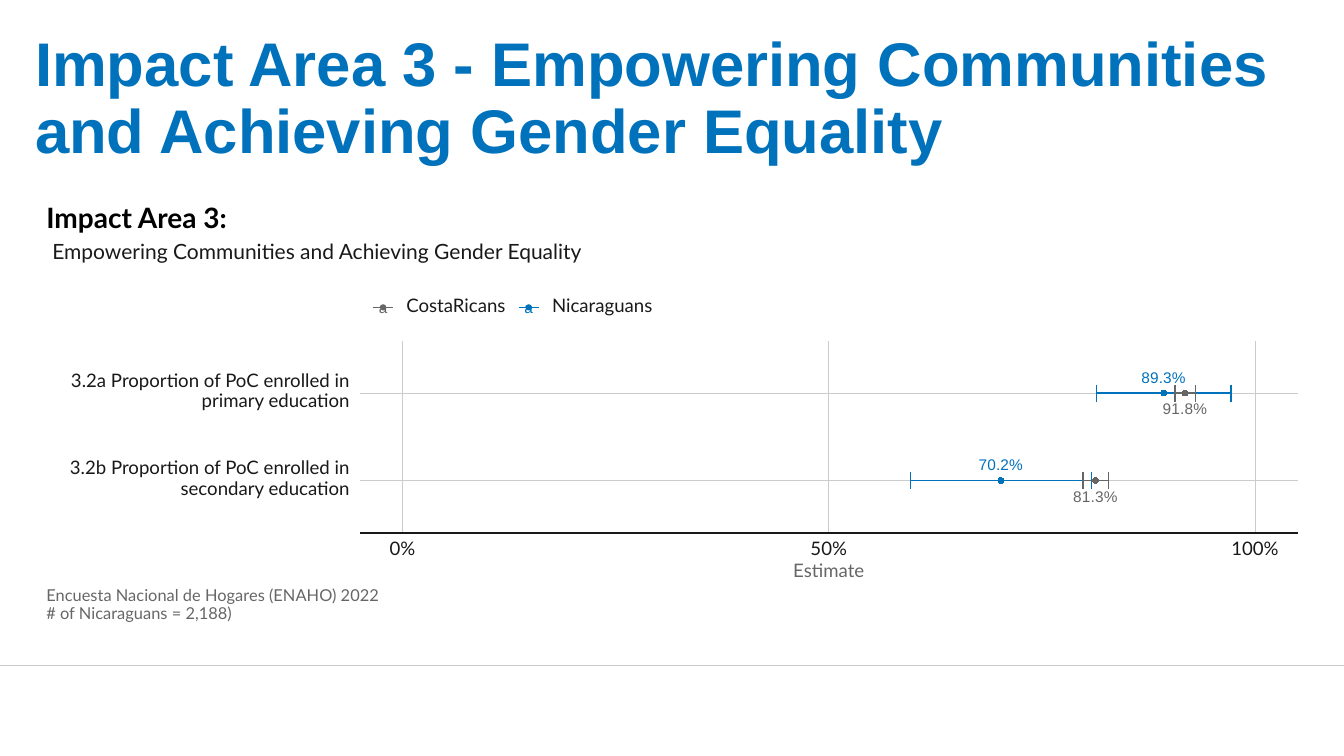
from lxml import etree
from pptx import Presentation
from pptx.chart.data import XyChartData
from pptx.dml.color import RGBColor
from pptx.enum.chart import XL_CHART_TYPE, XL_LABEL_POSITION, XL_MARKER_STYLE
from pptx.enum.shapes import MSO_CONNECTOR, MSO_SHAPE
from pptx.enum.text import MSO_ANCHOR, PP_ALIGN
from pptx.oxml import parse_xml
from pptx.oxml.ns import nsdecls, qn
from pptx.util import Inches, Pt

LEFT, CENTER, RIGHT = PP_ALIGN.LEFT, PP_ALIGN.CENTER, PP_ALIGN.RIGHT
MIDDLE, BOTTOM = MSO_ANCHOR.MIDDLE, MSO_ANCHOR.BOTTOM
ABOVE, BELOW = XL_LABEL_POSITION.ABOVE, XL_LABEL_POSITION.BELOW

BLUE, GRAY, INK, GRID = "0072BC", "666666", "191919", "CCCCCC"
X_MIN, X_MAX = -5, 105
Y_MIN, Y_MAX = 0.4, 2.6
TICKS = (0, 50, 100)
ROWS = {
    2: "3.2a Proportion of PoC enrolled in\nprimary education",
    1: "3.2b Proportion of PoC enrolled in\nsecondary education",
}
# name, colour, label side, (estimate, margin of error) per row
GROUPS = [
    ("Nicaraguans", BLUE, ABOVE, [(89.3, 7.9), (70.2, 10.6)]),
    ("CostaRicans", GRAY, BELOW, [(91.8, 1.2), (81.3, 1.5)]),
]


def color(hex_value):
    return RGBColor.from_string(hex_value)


def format_run(run, size, font, ink, bold=False):
    run.font.size, run.font.name, run.font.bold = Pt(size), font, bold
    run.font.color.rgb = color(ink)


def add_text(slide, text, box, size=13.3, font="Lato", ink=INK, bold=False,
             align=LEFT, anchor=MIDDLE, spacing=None, inset=(0, 0)):
    shape = slide.shapes.add_textbox(*map(Inches, box))
    frame = shape.text_frame
    frame.word_wrap = True
    frame.vertical_anchor = anchor
    frame.margin_left = frame.margin_right = Inches(inset[0])
    frame.margin_top = frame.margin_bottom = Inches(inset[1])
    for index, line in enumerate(text.split("\n")):
        paragraph = frame.paragraphs[0] if index == 0 else frame.add_paragraph()
        paragraph.alignment = align
        paragraph.line_spacing = spacing or Pt(size)
        run = paragraph.add_run()
        run.text = line
        format_run(run, size, font, ink, bold)


def add_line(slide, x1, y1, x2, y2, ink, width):
    connector = slide.shapes.add_connector(
        MSO_CONNECTOR.STRAIGHT, *map(Inches, (x1, y1, x2, y2)))
    connector.line.color.rgb = color(ink)
    connector.line.width = Pt(width)
    etree.SubElement(connector._element.spPr, qn("a:effectLst"))


def add_dot(slide, x, y, ink, size=0.05):
    dot = slide.shapes.add_shape(
        MSO_SHAPE.OVAL, *map(Inches, (x - size / 2, y - size / 2, size, size)))
    dot.shadow.inherit = False
    dot.fill.solid()
    dot.fill.fore_color.rgb = dot.line.color.rgb = color(ink)
    dot.line.width = Pt(0.71)


def add_interval(slide, start, end, y, ink, cap=0.17):
    """Horizontal interval with a cap at each end."""
    add_line(slide, start, y, end, y, ink, 1.07)
    for x in (start, end):
        add_line(slide, x, y - cap / 2, x, y + cap / 2, ink, 1.07)


def fill_frame(chart):
    """Stretch the plot over the whole chart and make both transparent."""
    chart_element = chart._chartSpace.find(qn("c:chart"))
    plot_area = chart_element.find(qn("c:plotArea"))
    layout = plot_area.find(qn("c:layout"))
    if layout is not None:
        plot_area.remove(layout)
    plot_area.insert(0, parse_xml(
        f'<c:layout {nsdecls("c")}><c:manualLayout><c:layoutTarget val="inner"/>'
        '<c:xMode val="edge"/><c:yMode val="edge"/><c:x val="0"/><c:y val="0"/>'
        '<c:w val="1"/><c:h val="1"/></c:manualLayout></c:layout>'))
    clear = (f'<c:spPr {nsdecls("c", "a")}><a:noFill/>'
             '<a:ln><a:noFill/></a:ln></c:spPr>')
    plot_area.append(parse_xml(clear))
    chart_element.addnext(parse_xml(clear))


def add_estimates(slide, box):
    """Scatter chart of the estimates."""
    data = XyChartData()
    for name, _, _, estimates in GROUPS:
        series_data = data.add_series(name)
        for row, (estimate, _) in zip(ROWS, estimates):
            series_data.add_data_point(estimate, row)
    chart = slide.shapes.add_chart(
        XL_CHART_TYPE.XY_SCATTER, *map(Inches, box), data).chart
    chart.has_title = chart.has_legend = False
    chart.font.size, chart.font.name = Pt(11), "Arial"
    plot = chart.plots[0]
    plot.vary_by_categories = False
    for axis, low, high in ((chart.category_axis, X_MIN, X_MAX),
                            (chart.value_axis, Y_MIN, Y_MAX)):
        axis.minimum_scale, axis.maximum_scale = low, high
        axis.has_major_gridlines = False
        axis.visible = False
    for series, (_, ink, side, estimates) in zip(plot.series, GROUPS):
        series.format.line.fill.background()
        series.marker.style, series.marker.size = XL_MARKER_STYLE.CIRCLE, 4
        series.marker.format.fill.solid()
        series.marker.format.fill.fore_color.rgb = color(ink)
        series.marker.format.line.color.rgb = color(ink)
        for index, (estimate, _) in enumerate(estimates):
            label = series.points[index].data_label
            run = label.text_frame.paragraphs[0].add_run()
            run.text = f"{estimate}%"
            format_run(run, 11, "Arial", ink)
            label.position = side
    fill_frame(chart)


def add_plot(slide, box):
    """Grid, row labels, axis, intervals and estimates; box is the plot area."""
    left, top, width, height = box
    right, bottom = left + width, top + height

    def x_at(value):
        return left + (value - X_MIN) / (X_MAX - X_MIN) * width

    def y_at(row):
        return bottom - (row - Y_MIN) / (Y_MAX - Y_MIN) * height

    for row, text in ROWS.items():
        y = y_at(row)
        add_line(slide, left, y, right, y, GRID, 0.53)
        add_text(slide, text, (left - 3.1, y - 0.22, 3, 0.4),
                 align=RIGHT, spacing=Pt(14.4))
    for tick in TICKS:
        x = x_at(tick)
        add_line(slide, x, top, x, bottom, GRID, 0.53)
        add_text(slide, f"{tick}%", (x - 0.4, bottom + 0.1, 0.8, 0.14), align=CENTER)
    add_line(slide, left, bottom, right, bottom, INK, 1.07)
    add_text(slide, "Estimate", (left, bottom + 0.31, width, 0.14),
             ink=GRAY, align=CENTER)
    for _, ink, _, estimates in GROUPS:
        for row, (estimate, margin) in zip(ROWS, estimates):
            add_interval(slide, x_at(estimate - margin), x_at(estimate + margin),
                         y_at(row), ink)
    add_estimates(slide, box)


def add_legend(slide, box):
    left, top, width, height = box
    y = top + height / 2
    step = width / len(GROUPS)
    for index, (name, ink, _, _) in enumerate(reversed(GROUPS)):
        x = left + index * step
        add_dot(slide, x + 0.1, y, ink)
        add_line(slide, x, y, x + 0.2, y, ink, 1.07)
        add_text(slide, "a", (x, y - 0.03, 0.2, 0.08), size=11, font="Arial",
                 ink=ink, align=CENTER)
        add_text(slide, name, (x + 0.33, top, step - 0.33, height))


def add_heading(slide, box):
    left, top, width, _ = box
    add_text(slide, "Impact Area 3:", (left, top, width, 0.25),
             size=20, ink="000000", bold=True)
    add_text(slide, "Empowering Communities and Achieving Gender Equality",
             (left + 0.06, top + 0.36, width, 0.19), size=15)


def main():
    presentation = Presentation()
    presentation.slide_width, presentation.slide_height = Inches(13.33), Inches(7.5)
    slide = presentation.slides.add_slide(presentation.slide_layouts[6])

    # Footer rule and title
    add_line(slide, 0, 6.6, 13.33, 6.6, GRID, 0.75)
    add_text(slide, "Impact Area 3 - Empowering Communities and Achieving Gender Equality",
             (0.25, 0.25, 12.83, 1.45), size=44, font="Arial", ink=BLUE, bold=True,
             anchor=BOTTOM, spacing=0.9, inset=(0.1, 0.05))
    # Figure
    add_heading(slide, (0.46, 2.06, 6, 0.55))
    add_legend(slide, (3.7, 2.97, 2.89, 0.16))
    add_plot(slide, (3.57, 3.38, 9.3, 1.91))
    # Source note
    add_text(slide, "Encuesta Nacional de Hogares (ENAHO) 2022\n# of Nicaraguans = 2,188)",
             (0.46, 5.83, 4, 0.34), size=11.7, ink=GRAY, spacing=Pt(13))
    presentation.save("out.pptx")


main()
